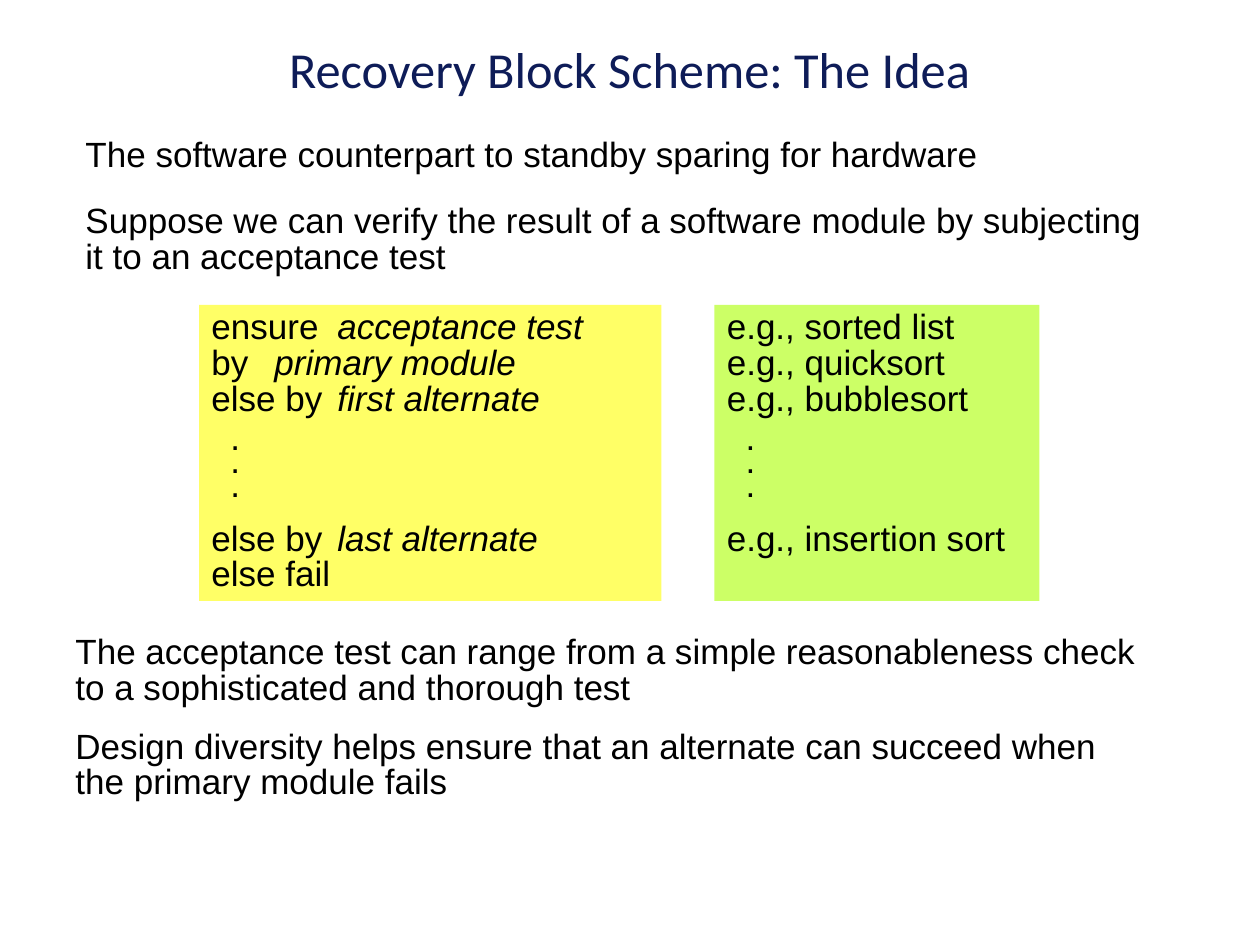
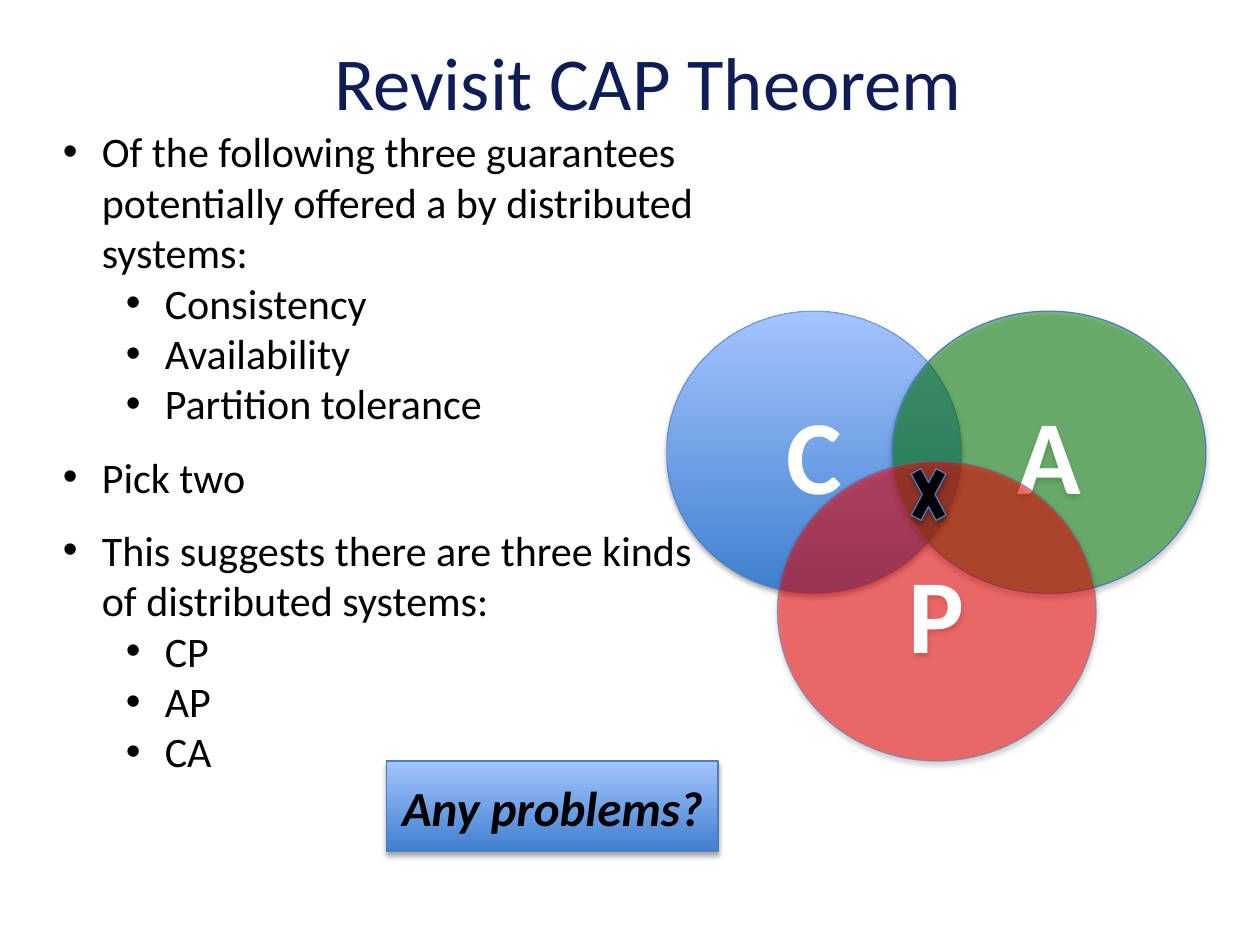
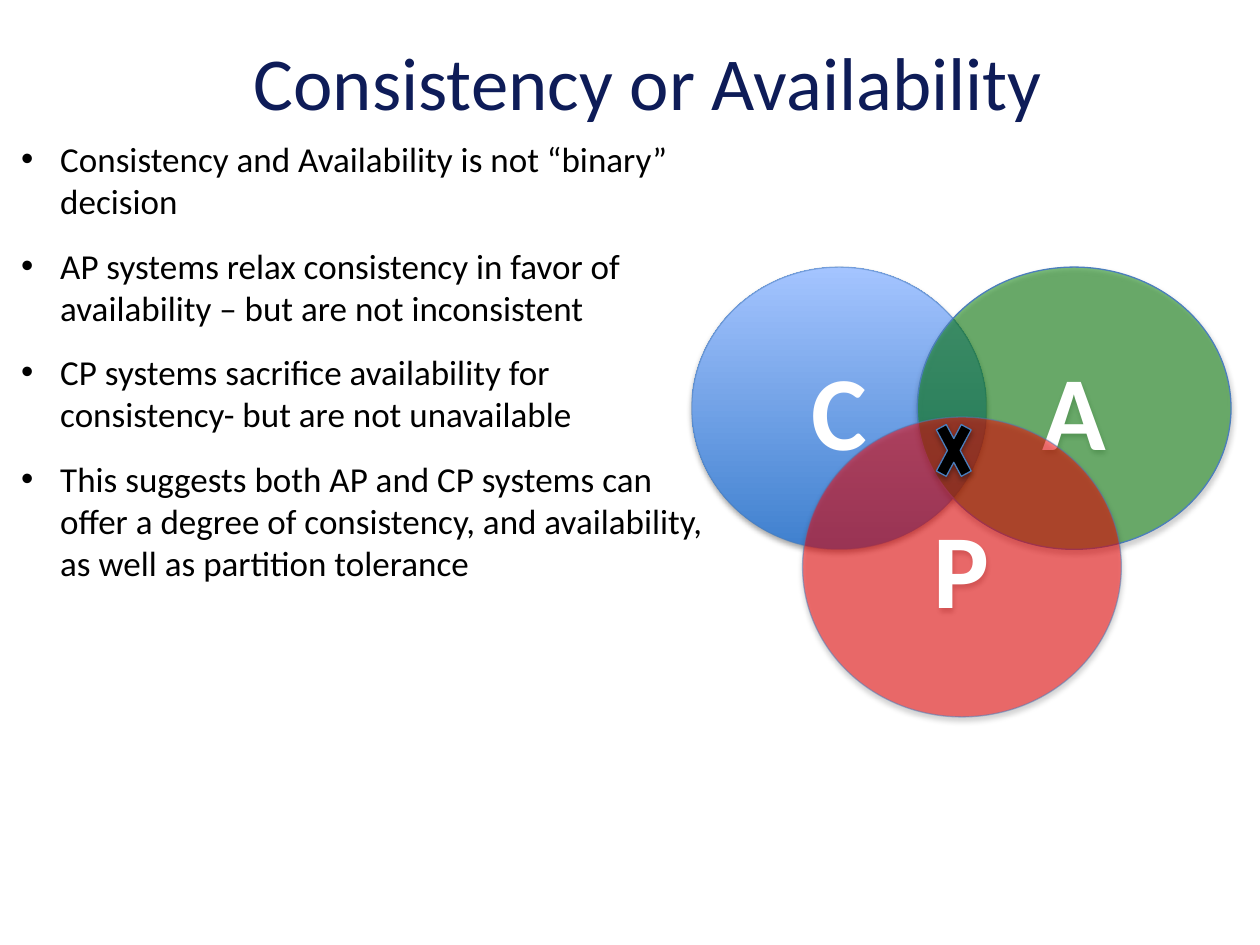
from dataclasses import dataclass

from lxml import etree
from pptx import Presentation
from pptx.dml.color import RGBColor
from pptx.enum.shapes import MSO_SHAPE
from pptx.enum.text import MSO_ANCHOR, PP_ALIGN
from pptx.oxml.ns import qn
from pptx.util import Pt

RECTANGLE, ELLIPSE, CROSS = MSO_SHAPE.RECTANGLE, MSO_SHAPE.OVAL, MSO_SHAPE.MATH_MULTIPLY
TOP, MIDDLE = MSO_ANCHOR.TOP, MSO_ANCHOR.MIDDLE
LEFT, CENTER = PP_ALIGN.LEFT, PP_ALIGN.CENTER

NAVY = RGBColor(0x0E, 0x1C, 0x58)
BLACK = RGBColor(0, 0, 0)
WHITE = RGBColor(0xFF, 0xFF, 0xFF)
YELLOW = RGBColor(0xFF, 0xFF, 0x66)
LIME = RGBColor(0xCC, 0xFF, 0x66)
GREEN = RGBColor(0, 0x80, 0)
RED = RGBColor(0xFF, 0, 0)
DEEP_BLUE = RGBColor(0x3F, 0x80, 0xCE)
PALE_BLUE = RGBColor(0xA4, 0xC4, 0xFF)
OUTLINE = RGBColor(0x4B, 0x7E, 0xBC)
GRADIENT = (DEEP_BLUE, PALE_BLUE)

PX = 9144  # 100 px to the inch
HANGING = 31
TERM_TAB = 139
TIGHT, DOTTED = 0.85, 0.55


@dataclass
class Line:
    text: str
    term: str = ""  # set in italics after a tab
    indent: int = 0
    bullet: bool = False
    before: int = 0
    spacing: float = 1


def point(text, before=0):
    return Line(text, indent=HANGING, bullet=True, before=before)


def subpoint(text):
    return Line(text, indent=50 + HANGING, bullet=True)


def code(text, term="", before=0):
    return Line(text, term, before=before, spacing=TIGHT)


def dots():
    return [Line(".", indent=15, before=before, spacing=DOTTED) for before in (8, 0, 0)]


def add_xml(parent, tag, **attributes):
    return etree.SubElement(parent, qn(tag), attributes)


def half_transparent(fill_owner):
    """Let the solid colour of a shape's fill or line show through."""
    color = fill_owner.find(qn("a:solidFill")).find(qn("a:srgbClr"))
    add_xml(color, "a:alpha", val="50000")


class Deck:
    def __init__(self, width, height):
        self.presentation = Presentation()
        self.presentation.slide_width = width * PX
        self.presentation.slide_height = height * PX
        self.slide = None

    def new_slide(self, title, box, size):
        self.slide = self.presentation.slides.add_slide(self.presentation.slide_layouts[6])
        self.text(box, [Line(title)], size, "Calibri", NAVY, CENTER, MIDDLE)

    def set_lines(self, frame, lines, size, face, color=BLACK, align=LEFT, anchor=TOP,
                  bold=None, italic=None):
        frame.word_wrap = True
        frame.vertical_anchor = anchor
        for number, line in enumerate(lines):
            paragraph = frame.add_paragraph() if number else frame.paragraphs[0]
            paragraph.alignment = align
            paragraph.line_spacing = line.spacing
            paragraph.space_before = Pt(line.before)
            properties = paragraph._p.get_or_add_pPr()
            properties.set("marL", str(line.indent * PX))
            properties.set("indent", str(-HANGING * PX if line.bullet else 0))
            if line.bullet:
                add_xml(properties, "a:buFont", typeface="Arial")
                add_xml(properties, "a:buChar", char="•")
            if line.term:
                tabs = add_xml(properties, "a:tabLst")
                add_xml(tabs, "a:tab", pos=str(TERM_TAB * PX), algn="l")
            font = paragraph.font
            font.size, font.name, font.color.rgb = Pt(size), face, color
            font.bold, font.italic = bold, italic
            paragraph.add_run().text = line.text + ("\t" if line.term else "")
            if line.term:
                term = paragraph.add_run()
                term.text = line.term
                term.font.italic = True

    def text(self, box, lines, size, face, *style):
        frame = self.slide.shapes.add_textbox(*(n * PX for n in box)).text_frame
        self.set_lines(frame, lines, size, face, *style)

    def panel(self, box, fill, lines):
        panel = self.slide.shapes.add_shape(RECTANGLE, *(n * PX for n in box))
        panel.shadow.inherit = False
        panel.fill.solid()
        panel.fill.fore_color.rgb = fill
        panel.line.fill.background()
        self.set_lines(panel.text_frame, lines, 20, "Arial")

    def raised(self, kind, box, fill, clear_fill=False, clear_line=False, shapes=None):
        """Add an outlined shape with a soft shadow; a pair of colours makes a gradient."""
        shape = (shapes or self.slide.shapes).add_shape(kind, *(n * PX for n in box))
        if fill is GRADIENT:
            shape.fill.gradient()
            shape.fill.gradient_angle = 90
            for stop, color in zip(shape.fill.gradient_stops, fill):
                stop.color.rgb = color
        else:
            shape.fill.solid()
            shape.fill.fore_color.rgb = fill
        shape.line.color.rgb = OUTLINE
        shape.line.width = Pt(0.75)
        shape.shadow.inherit = False
        properties = shape._element.spPr
        if clear_fill:
            half_transparent(properties)
        if clear_line:
            half_transparent(properties.find(qn("a:ln")))
        shadow = add_xml(properties.find(qn("a:effectLst")), "a:outerShdw", blurRad="40000",
                         dist="23000", dir="5400000", rotWithShape="0")
        add_xml(add_xml(shadow, "a:srgbClr", val="000000"), "a:alpha", val="35000")
        return shape

    def cap_diagram(self, left, top):
        shapes = self.slide.shapes.add_group_shape().shapes
        circles = (
            ("C", (left, top, 234, 224), GRADIENT, False, True),
            ("A", (left + 179, top, 249, 224), GREEN, True, False),
            ("P", (left + 88, top + 119, 253, 238), RED, True, True),
        )
        for letter, box, fill, clear_fill, clear_line in circles:
            circle = self.raised(ELLIPSE, box, fill, clear_fill, clear_line, shapes)
            self.set_lines(circle.text_frame, [Line(letter)], 60, "Calibri", WHITE,
                           CENTER, MIDDLE, bold=True)
        self.raised(CROSS, (left + 189, top + 110, 38, 71), BLACK, shapes=shapes)


def recovery_blocks(deck):
    deck.new_slide("Recovery Block Scheme: The Idea", (25, 25, 950, 58), 28.8)
    statements = (
        (58, 100, 43, Line("The software counterpart to standby sparing for hardware")),
        (58, 158, 67, code("Suppose we can verify the result of a software module by "
                           "subjecting it to an acceptance test")),
        (50, 500, 67, code("The acceptance test can range from a simple reasonableness check "
                           "to a sophisticated and thorough test")),
        (50, 575, 67, code("Design diversity helps ensure that an alternate can succeed when "
                           "the primary module fails")),
    )
    for left, top, height, statement in statements:
        deck.text((left, top, 875, height), [statement], 20, "Arial")
    deck.panel((158, 242, 367, 235), YELLOW, [
        code("ensure", "acceptance test"),
        code("by", "primary module"),
        code("else by", "first alternate"),
        *dots(),
        code("else by", "last alternate", before=12),
        code("else fail"),
    ])
    deck.panel((567, 242, 258, 235), LIME, [
        code("e.g., sorted list"),
        code("e.g., quicksort"),
        code("e.g., bubblesort"),
        *dots(),
        code("e.g., insertion sort", before=12),
    ])


def cap_slide(deck, title, diagram_at, box, points, size):
    deck.new_slide(title, (48, 12, 933, 104), 42.7)
    deck.cap_diagram(*diagram_at)
    deck.text(box, points, size, "Calibri")


def cap_theorem(deck):
    cap_slide(deck, "Revisit CAP Theorem", (529, 247), (40, 95, 535, 532), [
        point("Of the following three guarantees potentially offered a by distributed systems:"),
        *map(subpoint, ("Consistency", "Availability", "Partition tolerance")),
        point("Pick two", before=13),
        point("This suggests there are three kinds of distributed systems:", before=13),
        *map(subpoint, ("CP", "AP", "CA")),
    ], 24)
    question = deck.raised(RECTANGLE, (307, 604, 263, 72), GRADIENT)
    deck.set_lines(question.text_frame, [Line("Any problems?")], 28, "Calibri", BLACK,
                   CENTER, MIDDLE, bold=True, italic=True)


def consistency_or_availability(deck):
    cap_slide(deck, "Consistency or Availability", (549, 212), (7, 104, 576, 366), [
        point("Consistency and Availability is not “binary” decision"),
        point("AP systems relax consistency in favor of availability – but are not inconsistent",
              before=13),
        point("CP systems sacrifice availability for consistency- but are not unavailable",
              before=13),
        point("This suggests both AP and CP systems can offer a degree of consistency, "
              "and availability, as well as partition tolerance", before=13),
    ], 20)


def main():
    deck = Deck(1000, 750)
    recovery_blocks(deck)
    cap_theorem(deck)
    consistency_or_availability(deck)
    deck.presentation.save("out.pptx")


if __name__ == "__main__":
    main()
